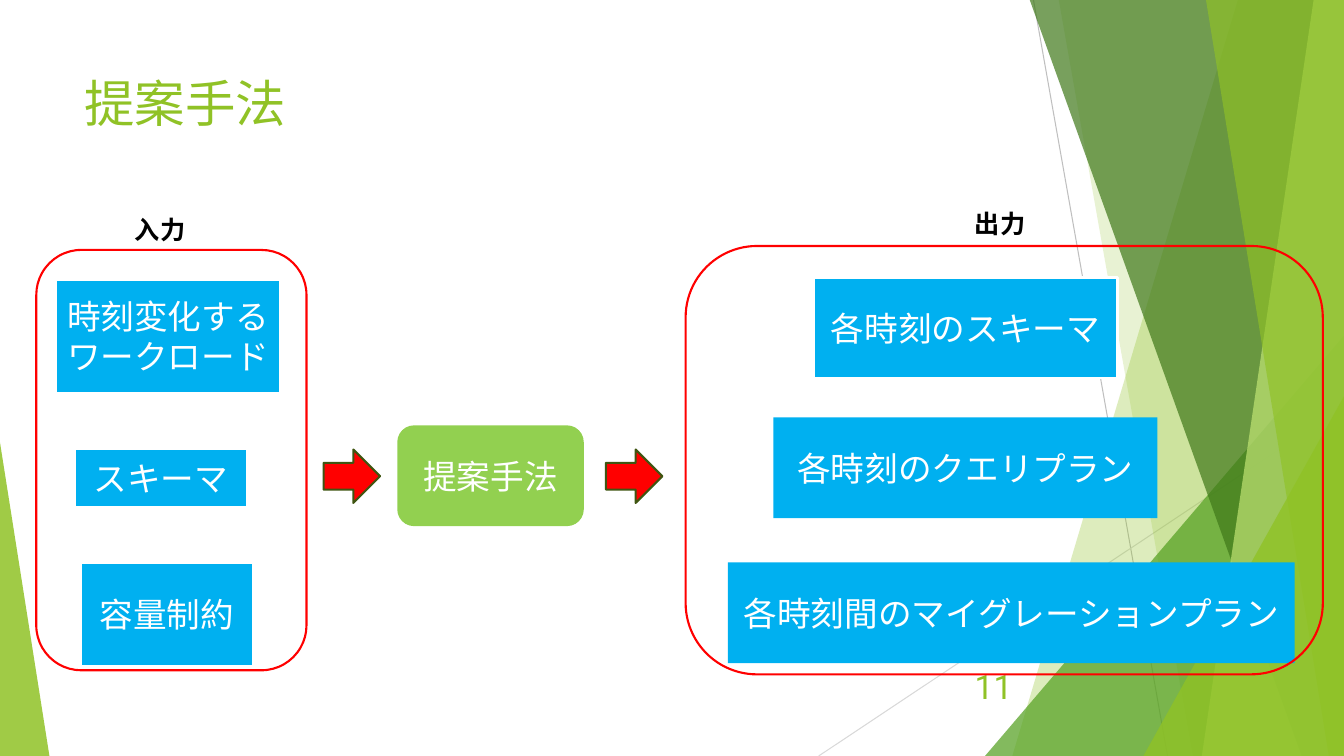
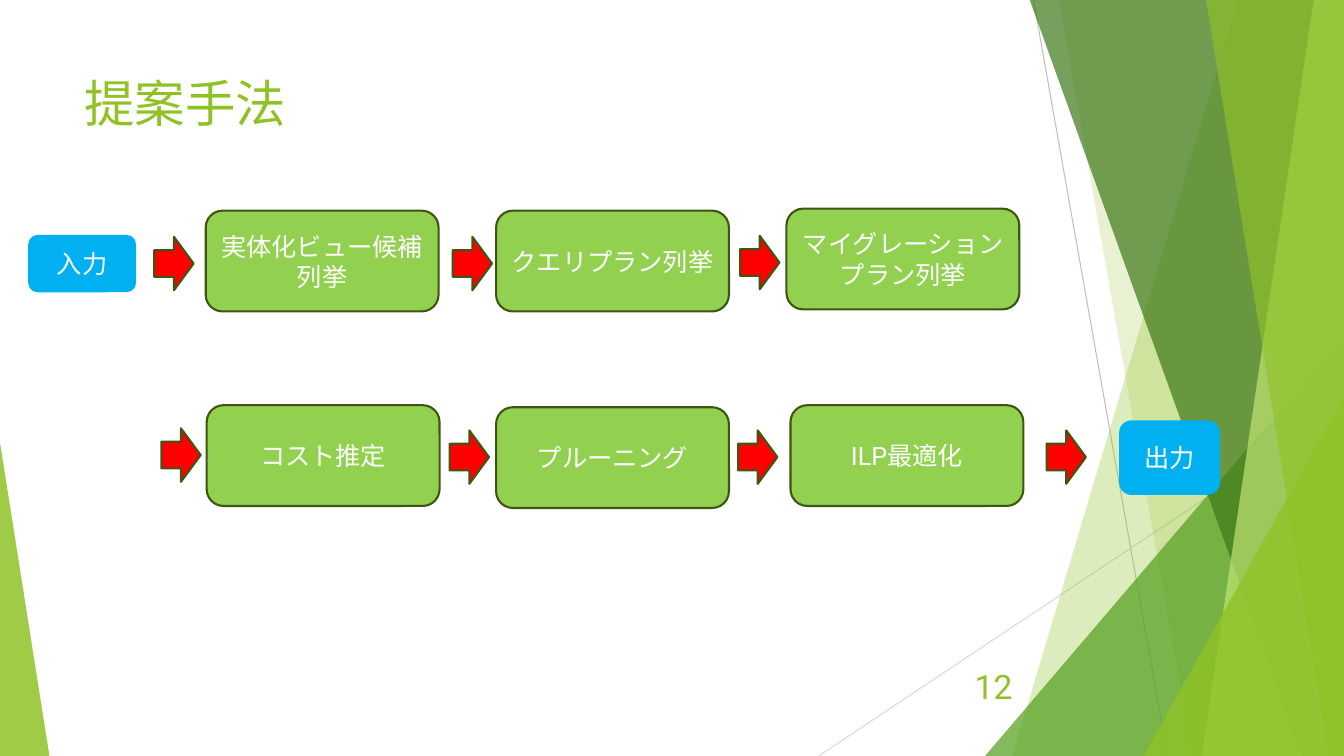
from lxml import etree
from pptx import Presentation
from pptx.dml.color import RGBColor
from pptx.enum.shapes import MSO_CONNECTOR, MSO_SHAPE
from pptx.enum.text import MSO_ANCHOR, PP_ALIGN
from pptx.oxml.ns import qn
from pptx.util import Inches, Pt

RECT = MSO_SHAPE.RECTANGLE
ROUND = MSO_SHAPE.ROUNDED_RECTANGLE
ARROW = MSO_SHAPE.RIGHT_ARROW
TRIANGLE = MSO_SHAPE.ISOSCELES_TRIANGLE
STRAIGHT = MSO_CONNECTOR.STRAIGHT
LEFT, CENTER, RIGHT = PP_ALIGN.LEFT, PP_ALIGN.CENTER, PP_ALIGN.RIGHT
TOP, MIDDLE = MSO_ANCHOR.TOP, MSO_ANCHOR.MIDDLE

FONT = "Roboto"
WHITE = RGBColor(0xFF, 0xFF, 0xFF)
BLACK = RGBColor(0, 0, 0)
RED = RGBColor(0xFF, 0, 0)
BLUE = RGBColor(0x00, 0xB0, 0xF0)
LIME = RGBColor(0x92, 0xD0, 0x50)
OUTLINE = RGBColor(0x3F, 0x55, 0x11)
GREEN = RGBColor(0x90, 0xC2, 0x26)
MID_GREEN = RGBColor(0x54, 0xA0, 0x21)
DARK_GREEN = RGBColor(0x3F, 0x78, 0x19)
PALE_GREEN = RGBColor(0xC0, 0xE4, 0x74)
GRAY = RGBColor(0xBF, 0xBF, 0xBF)
LIGHT_GRAY = RGBColor(0xD9, 0xD9, 0xD9)

W, H = 13.33, 7.5
BAND_TOP = -0.01


def style(sp, fill=None, line=None, width=1.5, opacity=100):
    sp.shadow.inherit = False
    if fill is None:
        sp.fill.background()
    else:
        sp.fill.solid()
        sp.fill.fore_color.rgb = fill
    if opacity < 100:
        color = sp.element.spPr.find(qn("a:solidFill"))[0]
        etree.SubElement(color, qn("a:alpha"), val=str(opacity * 1000))
    if line is None:
        sp.line.fill.background()
    else:
        sp.line.color.rgb = line
        sp.line.width = Pt(width)


def write(sp, text, size, color, align=CENTER, anchor=MIDDLE, bold=False, wrap=True):
    tf = sp.text_frame
    tf.word_wrap = wrap
    tf.vertical_anchor = anchor
    p = tf.paragraphs[0]
    p.text = text
    p.alignment = align
    p.font.name = FONT
    p.font.size = Pt(size)
    p.font.bold = bold
    p.font.color.rgb = color


def add_shape(s, kind, box, **look):
    sp = s.shapes.add_shape(kind, *map(Inches, box))
    style(sp, **look)
    return sp


def add_box(s, kind, box, text, size, **look):
    write(add_shape(s, kind, box, **look), text, size, WHITE)


def add_label(s, box, text, size, color, **kwargs):
    write(s.shapes.add_textbox(*map(Inches, box)), text, size, color, **kwargs)


def add_arrow(s, x, y, width):
    add_shape(s, ARROW, (x, y, width, 0.53), fill=RED, line=OUTLINE)


def add_line(s, start, end, color):
    c = s.shapes.add_connector(STRAIGHT, *map(Inches, start + end))
    c.line.color.rgb = color
    c.line.width = Pt(0.75)
    etree.SubElement(c._element.spPr, qn("a:effectLst"))


def add_band(s, top_x, bottom_x, color, opacity):
    """Slanted band that reaches the right edge of the slide."""
    points = [(top_x, BAND_TOP), (W, BAND_TOP), (W, H), (bottom_x, H)]
    points = [(Inches(x), Inches(y)) for x, y in points]
    fb = s.shapes.build_freeform(*points[0])
    fb.add_line_segments(points[1:])
    style(fb.convert_to_shape(), fill=color, opacity=opacity)


def add_corner(s, x, y, width, peak, color, opacity):
    """Right triangle standing on the bottom edge."""
    sp = add_shape(s, TRIANGLE, (x, y, width, H - y), fill=color, opacity=opacity)
    sp.adjustments[0] = peak


def new_slide(prs, title, number):
    s = prs.slides.add_slide(prs.slide_layouts[6])
    # Background facets, back to front
    add_line(s, (10.25, 0), (11.58, H), GRAY)
    add_line(s, (W, 4.03), (8.12, H), LIGHT_GRAY)
    add_band(s, 12.28, 10.04, GREEN, 30)
    add_band(s, 10.5, 11.83, GREEN, 20)
    add_corner(s, 9.77, 3.33, 3.56, 1, MID_GREEN, 72)
    add_band(s, 10.21, 12.91, DARK_GREEN, 70)
    add_band(s, 13.03, 11.92, PALE_GREEN, 70)
    add_band(s, 11.96, 13.18, GREEN, 65)
    add_corner(s, 11.34, 3.93, 1.99, 1, GREEN, 80)
    add_corner(s, 0, 4.39, 0.49, 0, GREEN, 85)
    # Title and slide number
    add_label(s, (0.74, 0.67, 9.4, 0.83), title, 36, GREEN, align=LEFT, anchor=TOP)
    add_label(s, (9.39, 6.61, 0.75, 0.4), str(number), 24, GREEN, align=RIGHT)
    return s


def overview_slide(prs):
    s = new_slide(prs, "提案手法", 11)
    # Inputs and outputs
    for box, text, line in [
        ((0.55, 2.77, 2.23, 1.13), "時刻変化するワークロード", WHITE),
        ((0.74, 4.45, 1.71, 0.58), "スキーマ", WHITE),
        ((0.8, 5.58, 1.71, 1.03), "容量制約", WHITE),
        ((8.07, 2.75, 3.01, 1), "各時刻のスキーマ", WHITE),
        ((7.67, 4.14, 3.81, 1), "各時刻のクエリプラン", None),
        ((7.22, 5.58, 5.62, 1), "各時刻間のマイグレーションプラン", None),
    ]:
        add_box(s, RECT, box, text, 24, fill=BLUE, line=line, width=2)
    # Method between two arrows
    add_box(s, ROUND, (3.94, 4.22, 1.85, 1), "提案手法", 24, fill=LIME)
    for x in (3.21, 6.01):
        add_arrow(s, x, 4.46, 0.56)
    # Frames with their headings
    for frame, x, y, text in [
        ((0.36, 2.48, 2.68, 4.17), 1.24, 2.08, "入力"),
        ((6.8, 2.44, 6.32, 4.25), 9.57, 2.02, "出力"),
    ]:
        add_shape(s, ROUND, frame, line=RED)
        add_label(s, (x, y, 0.71, 0.4), text, 18, BLACK,
                  align=LEFT, anchor=TOP, bold=True, wrap=False)


def steps_slide(prs):
    s = new_slide(prs, "提案手法", 12)
    # Start and end
    add_box(s, ROUND, (0.28, 2.33, 1.07, 0.57), "入力", 18, fill=BLUE)
    add_box(s, ROUND, (11.1, 4.17, 1, 0.74), "出力", 18, fill=BLUE)
    # Processing steps
    for x, y, text in [
        (2.04, 2.09, "実体化ビュー候補列挙"),
        (4.92, 2.09, "クエリプラン列挙"),
        (7.8, 2.07, "マイグレーションプラン列挙"),
        (2.05, 4.02, "コスト推定"),
        (4.92, 4.04, "プルーニング"),
        (7.84, 4.02, "ILP最適化"),
    ]:
        add_box(s, ROUND, (x, y, 2.31, 1), text, 18, fill=LIME, line=OUTLINE)
    # Arrows between the steps
    for x, y in [(1.53, 2.35), (4.49, 2.35), (7.34, 2.34),
                 (1.6, 4.25), (4.46, 4.27), (7.32, 4.27), (10.38, 4.27)]:
        add_arrow(s, x, y, 0.39)


def main():
    prs = Presentation()
    prs.slide_width, prs.slide_height = Inches(W), Inches(H)
    overview_slide(prs)
    steps_slide(prs)
    prs.save("out.pptx")


if __name__ == "__main__":
    main()
